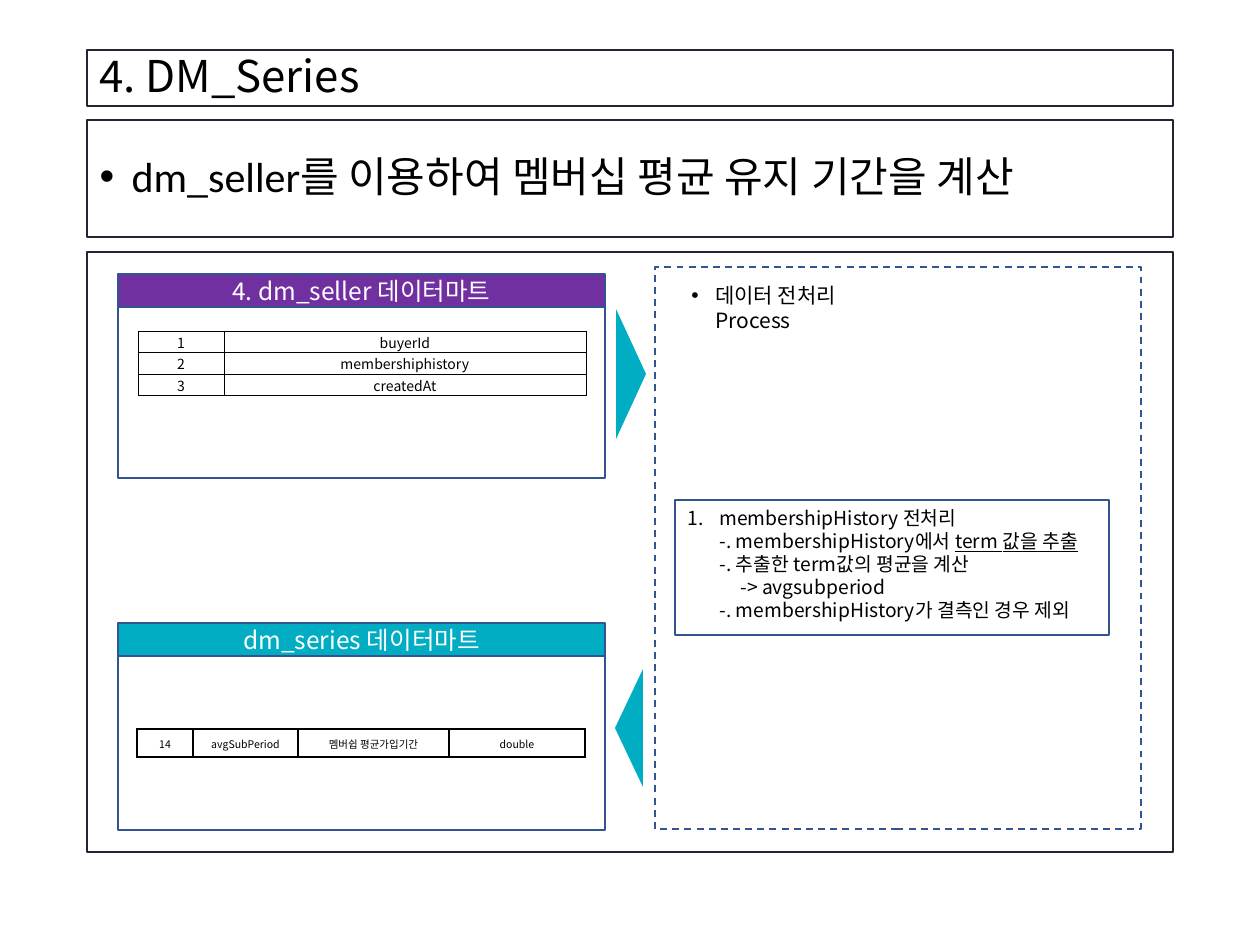
from lxml import etree
from pptx import Presentation
from pptx.dml.color import RGBColor
from pptx.enum.dml import MSO_LINE
from pptx.enum.shapes import MSO_SHAPE
from pptx.enum.text import MSO_ANCHOR, MSO_AUTO_SIZE, PP_ALIGN
from pptx.oxml.ns import qn
from pptx.util import Pt

RECTANGLE, TRIANGLE = MSO_SHAPE.RECTANGLE, MSO_SHAPE.ISOSCELES_TRIANGLE
TOP, MIDDLE = MSO_ANCHOR.TOP, MSO_ANCHOR.MIDDLE
LEFT, CENTER = PP_ALIGN.LEFT, PP_ALIGN.CENTER
DASH, NO_FIT = MSO_LINE.DASH, MSO_AUTO_SIZE.NONE
NOTO = "Noto Sans CJK KR"
BLACK, WHITE, FRAME, NAVY = "000000", "FFFFFF", "222633", "325491"
PURPLE, TEAL = "7030A0", "00ADC3"


def px(length):
    return round(length * 914400 / 126)


def color(hex_text):
    return RGBColor.from_string(hex_text)


class SlideBuilder:
    """Draws styled elements on the current slide."""

    def __init__(self, slide):
        self.slide = slide

    def outline(self, shape, line, width=1.0, dash=None):
        if line is None:
            shape.line.fill.background()
            return
        shape.line.color.rgb = color(line)
        shape.line.width = Pt(width)
        if dash:
            shape.line.dash_style = dash

    def box(self, place, fill=None, line=NAVY, width=1.0, dash=None, kind=RECTANGLE, turn=0):
        shape = self.slide.shapes.add_shape(kind, *map(px, place))
        shape.shadow.inherit = False
        shape.rotation = turn
        if fill:
            shape.fill.solid()
            shape.fill.fore_color.rgb = color(fill)
        else:
            shape.fill.background()
        self.outline(shape, line, width, dash)
        return shape

    def frame(self, shape, anchor):
        frame = shape.text_frame
        frame.word_wrap = True
        frame.auto_size = NO_FIT
        frame.vertical_anchor = anchor
        return frame

    def run(self, paragraph, text, size, ink=BLACK, font=NOTO, underline=False):
        run = paragraph.add_run()
        run.text = text
        run.font.size = Pt(size)
        run.font.name = font
        run.font.color.rgb = color(ink)
        if underline:
            run.font.underline = True
        etree.SubElement(run.font._element, qn("a:ea"), typeface=NOTO)

    def indent(self, paragraph, margin, hanging=0, bullet=None):
        properties = paragraph._p.get_or_add_pPr()
        properties.set("marL", str(px(margin)))
        properties.set("indent", str(-px(hanging)))
        if bullet == "1.":
            etree.SubElement(properties, qn("a:buFont"), typeface="+mj-lt")
            etree.SubElement(properties, qn("a:buAutoNum"), type="arabicPeriod")
        elif bullet:
            etree.SubElement(properties, qn("a:buFont"), typeface="Arial")
            etree.SubElement(properties, qn("a:buChar"), char=bullet)

    def placeholder(self, index, place, text, size, font, bullet=None):
        shape = self.slide.placeholders[index]
        shape.left, shape.top, shape.width, shape.height = map(px, place)
        self.outline(shape, FRAME, 0.75)
        paragraph = self.frame(shape, MIDDLE).paragraphs[0]
        if bullet:
            self.indent(paragraph, 32, 32, bullet)
        paragraph.alignment = LEFT
        paragraph.line_spacing = 0.9
        paragraph.space_before = Pt(0)
        self.run(paragraph, text, size, font=font)

    def mart(self, top, height, heading, fill):
        header = self.box((118, top, 487, 33), fill)
        paragraph = self.frame(header, MIDDLE).paragraphs[0]
        paragraph.alignment = CENTER
        self.run(paragraph, heading, 14, WHITE)
        self.box((118, top + 33, 487, height - 33))

    def arrow(self, place, turn):
        self.box(place, TEAL, None, kind=TRIANGLE, turn=turn)

    def caption(self, place, lines, size):
        shape = self.slide.shapes.add_textbox(*map(px, place))
        paragraph = self.frame(shape, TOP).paragraphs[0]
        self.indent(paragraph, 24, 24, "•")
        for number, line in enumerate(lines):
            if number:
                paragraph.add_line_break()
            self.run(paragraph, line, size)

    def steps(self, place, items, size):
        frame = self.frame(self.box(place), TOP)
        for number, (margin, hanging, bullet, parts) in enumerate(items):
            paragraph = frame.paragraphs[0] if number == 0 else frame.add_paragraph()
            self.indent(paragraph, margin, hanging, bullet)
            paragraph.alignment = LEFT
            for text, underline in parts:
                self.run(paragraph, text, size, underline=underline)

    def border(self, cell, width):
        properties = cell._tc.get_or_add_tcPr()
        for side in ("a:lnL", "a:lnR", "a:lnT", "a:lnB"):
            edge = etree.SubElement(properties, qn(side), w=str(Pt(width)))
            fill = etree.SubElement(edge, qn("a:solidFill"))
            etree.SubElement(fill, qn("a:srgbClr"), val=BLACK)

    def table(self, left, top, widths, row_height, rows, size, line):
        place = (left, top, sum(widths), row_height * len(rows))
        table = self.slide.shapes.add_table(len(rows), len(widths), *map(px, place)).table
        table.first_row = table.horz_banding = False
        for column, width in zip(table.columns, widths):
            column.width = px(width)
        for row, values in zip(table.rows, rows):
            row.height = px(row_height)
            for cell, value in zip(row.cells, values):
                cell.margin_left = cell.margin_right = cell.margin_top = px(1)
                cell.margin_bottom = 0
                cell.vertical_anchor = MIDDLE
                self.border(cell, line)
                cell.fill.background()
                paragraph = cell.text_frame.paragraphs[0]
                paragraph.alignment = CENTER
                self.run(paragraph, value, size)


def main():
    deck = Presentation()
    deck.slide_width, deck.slide_height = px(1260), px(945)
    page = SlideBuilder(deck.slides.add_slide(deck.slide_layouts[1]))

    page.box((87, 252, 1086, 600), line=FRAME, width=0.75)
    page.placeholder(0, (87, 50, 1086, 56), "4. DM_Series", 25, NOTO)
    page.placeholder(1, (87, 120, 1086, 117),
                     "dm_seller를 이용하여 멤버십 평균 유지 기간을 계산", 24, "Calibri", "•")

    page.mart(274, 204, "4. dm_seller 데이터마트", PURPLE)
    page.mart(623, 207, "dm_series 데이터마트", TEAL)
    page.box((655, 267, 486, 562), dash=DASH)
    page.caption((679, 276, 253, 38), ["데이터 전처리", "Process"], 12)
    page.arrow((566, 359, 130, 30), 90)
    page.arrow((570, 714, 118, 28), 270)

    page.table(138, 331, (86, 362), 18,
               [("1", "buyerId"), ("2", "membershiphistory"), ("3", "createdAt")], 8, 0.25)
    page.steps((675, 500, 434, 135), [
        (32, 32, "1.", [("membershipHistory 전처리", False)]),
        (32, 0, None, [("-. membershipHistory에서 ", False), ("term 값을 추출", True)]),
        (32, 0, None, [("-. 추출한 term값의 평균을 계산", False)]),
        (53, 0, None, [("-> avgsubperiod", False)]),
        (32, 0, None, [("-. membershipHistory가 결측인 경우 제외", False)]),
    ], 11)
    page.table(137, 729, (56, 105, 151, 136), 28,
               [("14", "avgSubPeriod", "멤버쉽 평균가입기간", "double")], 6, 1)

    deck.save("out.pptx")


if __name__ == "__main__":
    main()
